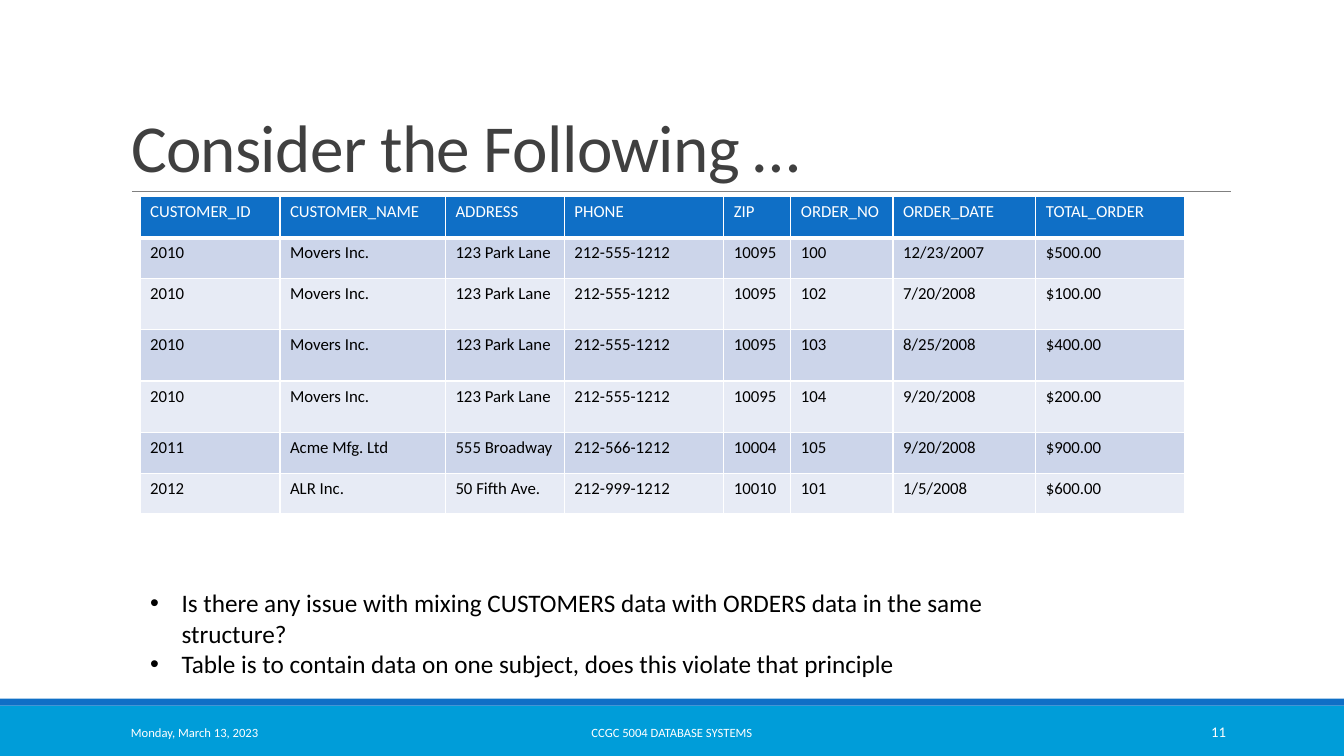
"""Build the slide on mixing customer and order data in one table."""
from lxml import etree
from pptx import Presentation
from pptx.dml.color import RGBColor
from pptx.enum import shapes, text
from pptx.oxml import ns
from pptx.util import Pt

HUES = {"blue": "0F6FC6", "sky": "009DD9", "grey": "808080", "dark": "404040",
        "black": "000000", "white": "FFFFFF", "odd": "CCD5EA", "even": "E7EBF5"}
LEFT, MID, RIGHT = text.PP_ALIGN.LEFT, text.PP_ALIGN.CENTER, text.PP_ALIGN.RIGHT


def hue(name):
    return RGBColor.from_string(HUES[name])


def style(para, size, name, align=LEFT):
    para.font.name = "Calibri"
    para.font.size = Pt(size)
    para.font.color.rgb = hue(name)
    para.alignment = align


prs = Presentation()
prs.slide_width, prs.slide_height = Pt(960), Pt(540)
slide = prs.slides.add_slide(prs.slide_layouts[1])
parts = slide.shapes

for top, high, name in [(504, 36, "sky"), (499, 5, "blue")]:
    band = parts.add_shape(shapes.MSO_SHAPE.RECTANGLE, 0, Pt(top), Pt(960), Pt(high))
    band.shadow.inherit = False
    band.fill.solid()
    band.fill.fore_color.rgb = hue(name)
    band.line.fill.background()

rule = parts.add_connector(shapes.MSO_CONNECTOR.STRAIGHT, Pt(94.3), Pt(136.8), Pt(879), Pt(136.8))
rule.line.color.rgb = hue("grey")
rule.line.width = Pt(0.5)
etree.SubElement(rule._element.spPr, ns.qn("a:effectLst"))

title = parts.title
title.left, title.top, title.width, title.height = Pt(86.4), Pt(22.3), Pt(792), Pt(114.5)
title.text_frame.text = "Consider the Following …"
title.text_frame.vertical_anchor = text.MSO_ANCHOR.BOTTOM
title.text_frame.auto_size = text.MSO_AUTO_SIZE.NONE
head = title.text_frame.paragraphs[0]
style(head, 48, "dark")
head.line_spacing = 0.85
head.runs[0].font._element.set("spc", "-50")

MOVER = ("2010", "Movers Inc.", "123 Park Lane", "212-555-1212", "10095")
ROWS = [
    ("CUSTOMER_ID", "CUSTOMER_NAME", "ADDRESS", "PHONE", "ZIP",
     "ORDER_NO", "ORDER_DATE", "TOTAL_ORDER"),
    (*MOVER, "100", "12/23/2007", "$500.00"),
    (*MOVER, "102", "7/20/2008", "$100.00"),
    (*MOVER, "103", "8/25/2008", "$400.00"),
    (*MOVER, "104", "9/20/2008", "$200.00"),
    ("2011", "Acme Mfg. Ltd", "555 Broadway", "212-566-1212", "10004",
     "105", "9/20/2008", "$900.00"),
    ("2012", "ALR Inc.", "50 Fifth Ave.", "212-999-1212", "10010",
     "101", "1/5/2008", "$600.00"),
]
WIDE = [100, 118.2, 85, 113.8, 48, 73, 102, 106]
HIGH = [29.2, 29.2, 36.6, 36.6, 36.6, 29.2, 29.2]

grid = parts.add_table(len(ROWS), len(WIDE), Pt(100), Pt(140.6), Pt(sum(WIDE)), Pt(sum(HIGH))).table
for col, wide in zip(grid.columns, WIDE):
    col.width = Pt(wide)
for r, row in enumerate(ROWS):
    grid.rows[r].height = Pt(HIGH[r])
    fill = "blue" if r == 0 else "odd" if r % 2 else "even"
    for c, word in enumerate(row):
        cell = grid.cell(r, c)
        cell.text = word
        style(cell.text_frame.paragraphs[0], 12, "black" if r else "white")
        props = cell._tc.get_or_add_tcPr()
        for side in ("lnL", "lnR", "lnT", "lnB"):
            thick = 3 if r == 0 and side == "lnB" else 1
            edge = etree.SubElement(props, ns.qn("a:" + side), w=str(Pt(thick)))
            paint = etree.SubElement(edge, ns.qn("a:solidFill"))
            etree.SubElement(paint, ns.qn("a:srgbClr"), val=HUES["white"])
        cell.fill.solid()
        cell.fill.fore_color.rgb = hue(fill)

body = slide.placeholders[1]
body.left, body.top, body.width, body.height = Pt(100), Pt(416.2), Pt(684), Pt(72.7)
frame = body.text_frame
frame.text = ("Is there any issue with mixing CUSTOMERS data with ORDERS data in the same structure?\n"
              "Table is to contain data on one subject, does this violate that principle")
frame.auto_size = text.MSO_AUTO_SIZE.NONE
for para in frame.paragraphs:
    style(para, 18, "black")
    para.space_before = Pt(0)
    props = para._p.get_or_add_pPr()
    props.set("marL", str(Pt(22.5)))
    props.set("indent", str(-Pt(22.5)))
    etree.SubElement(props, ns.qn("a:buFont"), typeface="Arial")
    etree.SubElement(props, ns.qn("a:buChar"), char="•")

FOOT = [(86.4, 194.4, "Monday, March 13, 2023", 9, LEFT),
        (290.2, 379.4, "CCGC 5004 DATABASE SYSTEMS", 9, MID),
        (779.8, 103, "11", 10.5, RIGHT)]
for left, wide, word, size, align in FOOT:
    box = parts.add_textbox(Pt(left), Pt(508.5), Pt(wide), Pt(28.8))
    box.text_frame.word_wrap = True
    box.text_frame.vertical_anchor = text.MSO_ANCHOR.MIDDLE
    box.text_frame.text = word
    style(box.text_frame.paragraphs[0], size, "white", align)

prs.save("out.pptx")
